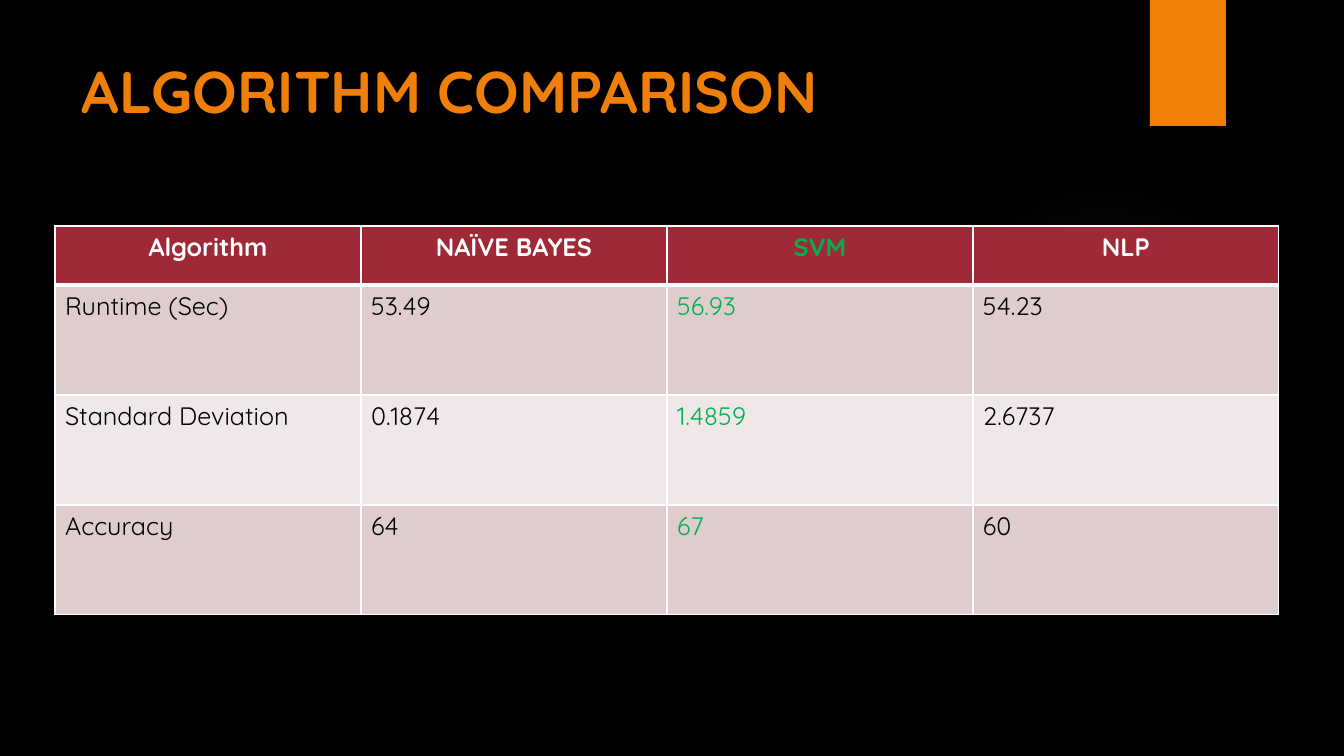
import pptx
import pptx.dml.color
import pptx.enum.shapes
import pptx.enum.text
import pptx.oxml
import pptx.oxml.ns
import pptx.util

PX = 9144000 / 1008
ORANGE, GREEN, CRIMSON = "F07F09", "00B050", "9F2936"
BLACK, WHITE, GLOW_GRAY = "000000", "FFFFFF", "848484"
BAND_FILLS = ["DFCDCE", "F0E8E8"]
HEADER_HEIGHT, BODY_HEIGHT = 59, 110

COMPARISON = [
    ["Algorithm", "NAÏVE BAYES", "SVM", "NLP"],
    ["Runtime (Sec)", "53.49", "56.93", "54.23"],
    ["Standard Deviation", "0.1874", "1.4859", "2.6737"],
    ["Accuracy", "64", "67", "60"],
]
HIGHLIGHTED = COMPARISON[0].index("SVM")


def emu(*lengths):
    return [pptx.util.Emu(round(length * PX)) for length in lengths]


def rgb(color):
    return pptx.dml.color.RGBColor.from_string(color)


def drawing_xml(tag, content, attributes=""):
    namespace = pptx.oxml.ns.nsdecls("a")
    return pptx.oxml.parse_xml(f"<a:{tag} {namespace} {attributes}>{content}</a:{tag}>")


class ComparisonSlide:
    font_name = "Quicksand"

    def __init__(self, presentation):
        self.slide = presentation.slides.add_slide(presentation.slide_layouts[6])
        self.fill(self.slide.background, BLACK)

    def fill(self, part, color):
        part.fill.solid()
        part.fill.fore_color.rgb = rgb(color)

    def shape(self, kind, *box):
        shape = self.slide.shapes.add_shape(kind, *emu(*box))
        shape.shadow.inherit = False
        shape.line.fill.background()
        return shape

    def block(self, color, *box):
        self.fill(self.shape(pptx.enum.shapes.MSO_SHAPE.RECTANGLE, *box), color)

    def glow(self, color, stops, *box):
        """Draw a radial fade; stops maps position to opacity, both in percent."""
        glow = self.shape(pptx.enum.shapes.MSO_SHAPE.OVAL, *box)
        glow.fill.background()
        stop_list = "".join(
            f'<a:gs pos="{position * 1000}"><a:srgbClr val="{color}">'
            f'<a:alpha val="{opacity * 1000}"/></a:srgbClr></a:gs>'
            for position, opacity in stops.items()
        )
        center = '<a:fillToRect l="50000" t="50000" r="50000" b="50000"/>'
        gradient = drawing_xml(
            "gradFill",
            f'<a:gsLst>{stop_list}</a:gsLst><a:path path="circle">{center}</a:path>',
        )
        properties = glow._element.spPr
        properties.replace(properties.find(pptx.oxml.ns.qn("a:noFill")), gradient)

    def add_text(self, frame, text, color, size, bold, align=None):
        paragraph = frame.paragraphs[0]
        paragraph.alignment = align
        run = paragraph.add_run()
        run.text = text
        style = {"name": self.font_name, "size": pptx.util.Pt(size), "bold": bold}
        for attribute, value in style.items():
            setattr(run.font, attribute, value)
        run.font.color.rgb = rgb(color)

    def title(self, text, *box):
        frame = self.slide.shapes.add_textbox(*emu(*box)).text_frame
        frame.word_wrap = True
        self.add_text(frame, text, ORANGE, 42, True)

    def cell_borders(self, cell, **widths):
        """Draw white borders; widths in points are keyed by side: L, R, T, B."""
        properties = cell._tc.get_or_add_tcPr()
        for side, width in widths.items():
            line = f'<a:solidFill><a:srgbClr val="{WHITE}"/></a:solidFill>'
            properties.append(drawing_xml(f"ln{side}", line, f'w="{pptx.util.Pt(width)}"'))

    def table(self, rows, left, top, column_width):
        heights = [HEADER_HEIGHT] + [BODY_HEIGHT] * (len(rows) - 1)
        box = emu(left, top, column_width * len(rows[0]), sum(heights))
        table = self.slide.shapes.add_table(len(rows), len(rows[0]), *box).table
        for column in table.columns:
            column.width = emu(column_width)[0]
        for row_index, values in enumerate(rows):
            table.rows[row_index].height = emu(heights[row_index])[0]
            for column_index, value in enumerate(values):
                self.cell(table.cell(row_index, column_index), value, row_index, column_index)

    def cell(self, cell, value, row_index, column_index):
        header = row_index == 0
        self.cell_borders(cell, L=1, R=1, T=3 if row_index == 1 else 1, B=3 if header else 1)
        self.fill(cell, CRIMSON if header else BAND_FILLS[(row_index - 1) % 2])
        color = WHITE if header else BLACK
        if column_index == HIGHLIGHTED:
            color = GREEN
        align = pptx.enum.text.PP_ALIGN.CENTER if header else None
        self.add_text(cell.text_frame, value, color, 18, header, align)


def main():
    presentation = pptx.Presentation()
    presentation.slide_width, presentation.slide_height = emu(1344, 756)
    slide = ComparisonSlide(presentation)
    slide.glow(GLOW_GRAY, {0: 7, 36: 6, 69: 0}, 949, 184, 310, 310)
    slide.block(ORANGE, 1150, 0, 76, 126)
    slide.title("ALGORITHM COMPARISON", 72, 50, 1037, 154)
    slide.table(COMPARISON, 55, 226, 306)
    presentation.save("out.pptx")


if __name__ == "__main__":
    main()
